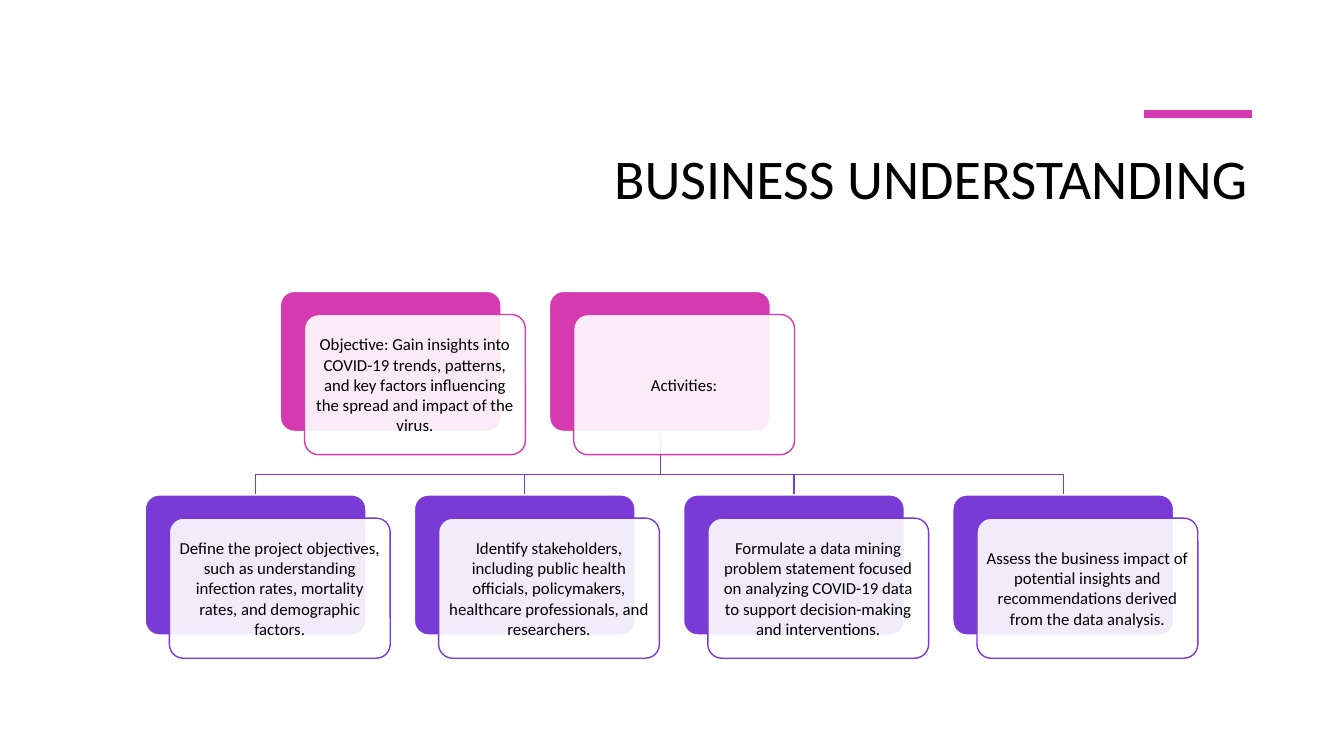
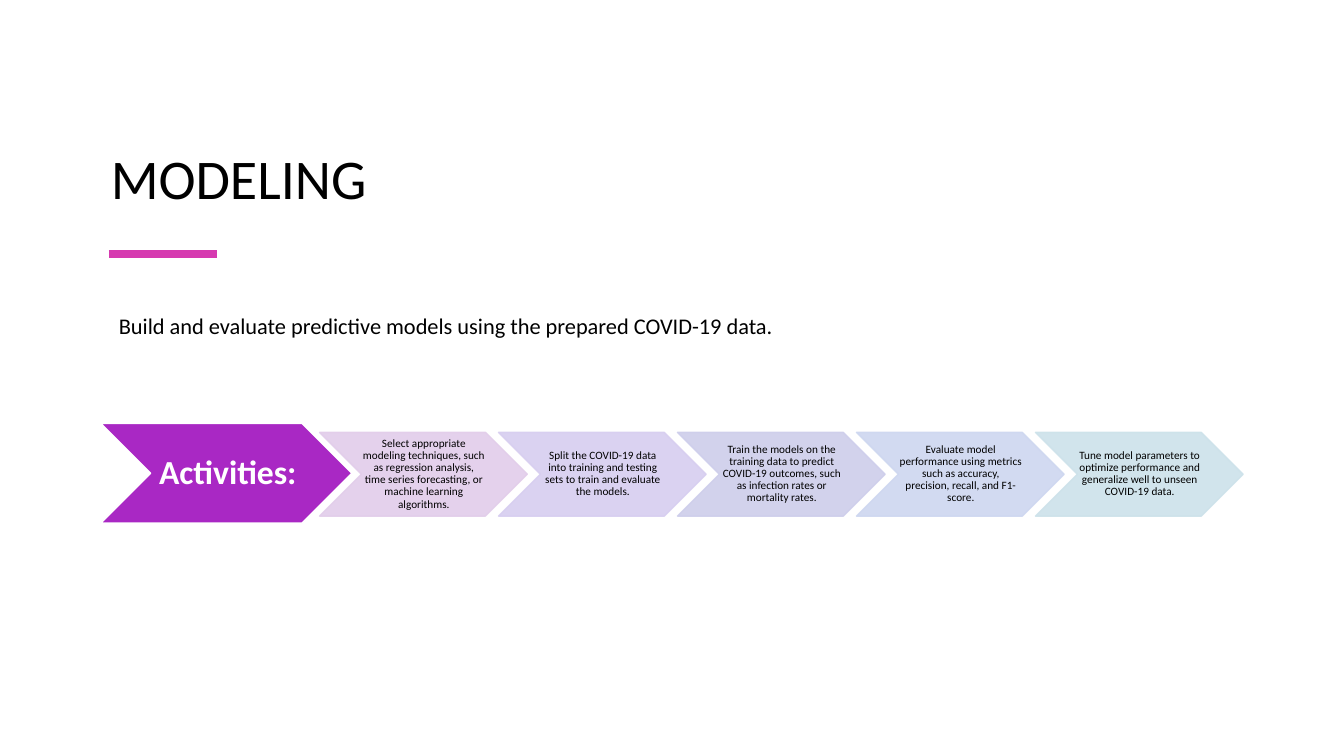
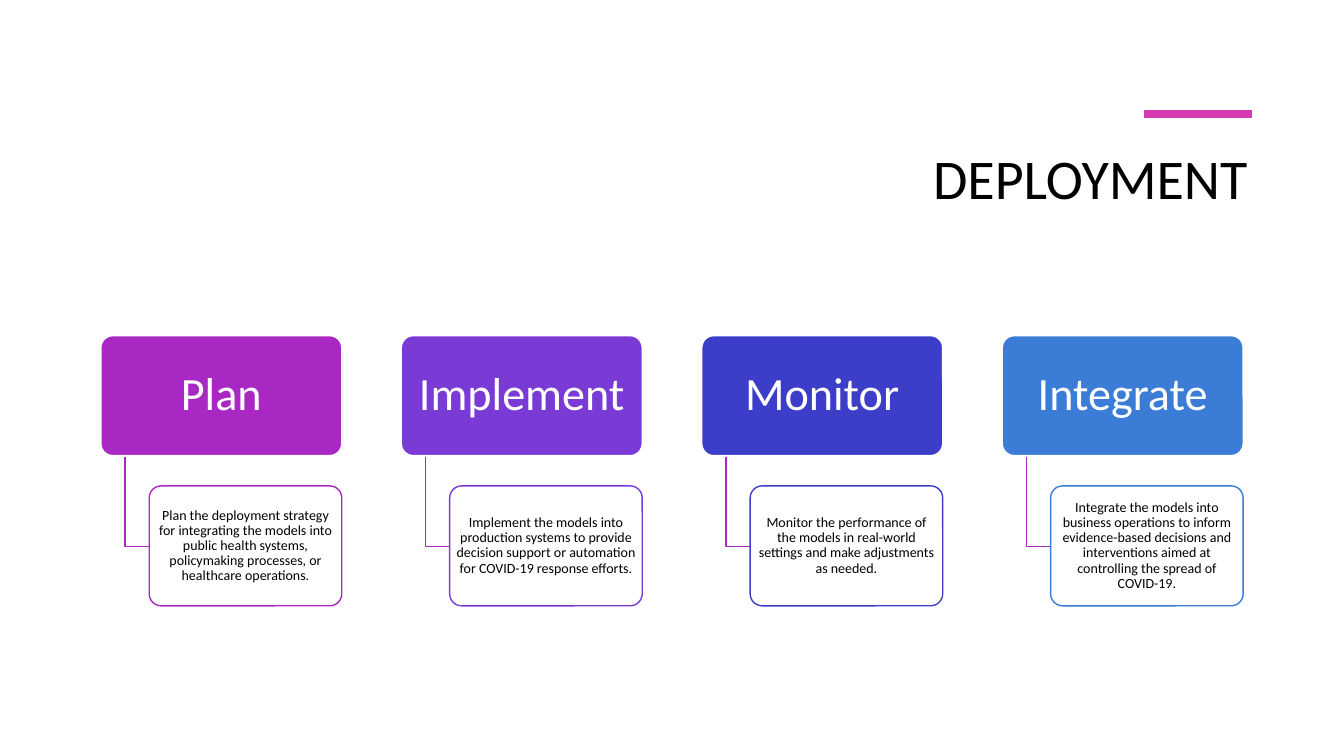
from lxml import etree
from pptx import Presentation
from pptx.dml.color import RGBColor
from pptx.enum.shapes import MSO_CONNECTOR, MSO_SHAPE
from pptx.enum.text import MSO_ANCHOR, PP_ALIGN
from pptx.oxml.ns import qn
from pptx.util import Inches, Pt

ROUNDED, CHEVRON = MSO_SHAPE.ROUNDED_RECTANGLE, MSO_SHAPE.CHEVRON
STRAIGHT = MSO_CONNECTOR.STRAIGHT
TOP, MIDDLE, BOTTOM = MSO_ANCHOR.TOP, MSO_ANCHOR.MIDDLE, MSO_ANCHOR.BOTTOM
LEFT, CENTER, RIGHT = PP_ALIGN.LEFT, PP_ALIGN.CENTER, PP_ALIGN.RIGHT

BLACK = RGBColor(0x00, 0x00, 0x00)
WHITE = RGBColor(0xFF, 0xFF, 0xFF)
PINK = RGBColor(0xD6, 0x3A, 0xB0)
PURPLE = RGBColor(0xA9, 0x28, 0xC4)
VIOLET = RGBColor(0x7A, 0x3A, 0xD6)
INDIGO = RGBColor(0x3C, 0x3D, 0xC9)
BLUE = RGBColor(0x3A, 0x7C, 0xD6)
PALE_PURPLE = RGBColor(0xE2, 0xCD, 0xEA)
PALE_VIOLET = RGBColor(0xD7, 0xCE, 0xF0)
PALE_INDIGO = RGBColor(0xCE, 0xCE, 0xEB)
PALE_BLUE = RGBColor(0xCE, 0xD7, 0xF0)
PALE_TEAL = RGBColor(0xCD, 0xE2, 0xEA)
FONT = "Calibri"


def add_box(page, at, text="", size=12, ink=BLACK, kind=None, fill=None, line=None,
            clear=False, align=CENTER, anchor=MIDDLE, insets=(0.1, 0.05, 0.1, 0.05),
            spacing=1.0, bold=False):
    place = [Inches(value) for value in at]
    if kind is None:
        box = page.shapes.add_textbox(*place)
    else:
        box = page.shapes.add_shape(kind, *place)
        box.shadow.inherit = False
        box.fill.solid()
        box.fill.fore_color.rgb = fill
        box.line.color.rgb = line
        box.line.width = Pt(1)
        if kind == ROUNDED:
            box.adjustments[0] = 0.1
    if clear:
        for colour in box._element.spPr.iter(qn("a:srgbClr")):
            if colour.get("val") == str(fill):
                etree.SubElement(colour, qn("a:alpha"), val="90000")
    if text:
        frame = box.text_frame
        left, top, right, bottom = [Inches(value) for value in insets]
        frame_format = {"word_wrap": True, "vertical_anchor": anchor, "margin_left": left,
                        "margin_top": top, "margin_right": right, "margin_bottom": bottom}
        para = frame.paragraphs[0]
        span = para.add_run()
        span.text = text
        span.font.color.rgb = ink
        for target, values in (
            (frame, frame_format),
            (para, {"alignment": align, "line_spacing": spacing}),
            (span.font, {"name": FONT, "size": Pt(size), "bold": bold}),
        ):
            for name, value in values.items():
                setattr(target, name, value)


def add_elbow(page, points, colour):
    start, *corners = [(Inches(x), Inches(y)) for x, y in points]
    builder = page.shapes.build_freeform(*start)
    builder.add_line_segments(corners, close=False)
    elbow = builder.convert_to_shape()
    elbow.shadow.inherit = False
    elbow.fill.background()
    elbow.line.color.rgb = colour
    elbow.line.width = Pt(1)


deck = Presentation()
deck.slide_width, deck.slide_height = Inches(13.33), Inches(7.5)

RIGHT_TITLE = ((1.9, 1.37, 10.57, 1.25), RIGHT, TOP, 11.35, 1.13)
LEFT_TITLE = ((1, 0.62, 11.38, 1.52), LEFT, BOTTOM, 1.08, 2.52)
pages = []
for title, (at, align, anchor, bar_left, bar_top) in (
    ("BUSINESS UNDERSTANDING", RIGHT_TITLE),
    ("MODELING", LEFT_TITLE),
    ("DEPLOYMENT", RIGHT_TITLE),
):
    page = deck.slides.add_slide(deck.slide_layouts[6])
    add_box(page, at, title, 40, align=align, anchor=anchor)
    bar = page.shapes.add_connector(STRAIGHT, Inches(bar_left), Inches(bar_top),
                                    Inches(bar_left + 1.07), Inches(bar_top))
    bar.line.color.rgb = PINK
    bar.line.width = Pt(6)
    etree.SubElement(bar._element.spPr, qn("a:effectLst"))
    pages.append(page)
understanding, modeling, deployment = pages

CARD_WIDTH, CARD_HEIGHT, CARD_STEP = 2.19, 1.39, 2.67
TRUNK_X, TRUNK_TOP, BRANCH_Y = 6.55, 4.27, 4.71
card_rows = (
    (2.78, 2.89, PINK, (
        "Objective: Gain insights into COVID-19 trends, patterns, and key factors "
        "influencing the spread and impact of the virus.",
        "Activities:",
    )),
    (1.44, 4.91, VIOLET, (
        "Define the project objectives, such as understanding infection rates, "
        "mortality rates, and demographic factors.",
        "Identify stakeholders, including public health officials, policymakers, "
        "healthcare professionals, and researchers.",
        "Formulate a data mining problem statement focused on analyzing COVID-19 data "
        "to support decision-making and interventions.",
        "Assess the business impact of potential insights and recommendations derived "
        "from the data analysis.",
    )),
)
row_left, row_top, row_colour, activities = card_rows[1]
for index in reversed(range(len(activities))):
    branch_x = row_left + index * CARD_STEP + CARD_WIDTH / 2
    add_elbow(understanding, ((TRUNK_X, TRUNK_TOP), (TRUNK_X, BRANCH_Y),
                              (branch_x, BRANCH_Y), (branch_x, row_top)), row_colour)
for row_left, row_top, row_colour, texts in card_rows:
    for index, text in enumerate(texts):
        left = row_left + index * CARD_STEP
        add_box(understanding, (left, row_top, CARD_WIDTH, CARD_HEIGHT),
                kind=ROUNDED, fill=row_colour, line=WHITE)
        add_box(understanding, (left + 0.24, row_top + 0.23, CARD_WIDTH, CARD_HEIGHT), text,
                kind=ROUNDED, fill=WHITE, line=row_colour, clear=True,
                insets=(0.05, 0.05, 0.05, 0.05))

add_box(modeling, (1, 4.2, 2.49, 0.99), "Activities:", 24, WHITE, CHEVRON, PURPLE, WHITE,
        insets=(0.03, 0.02, 0, 0.02), spacing=0.9, bold=True)
steps = (
    (PALE_PURPLE, "Select appropriate modeling techniques, such as regression analysis, "
                  "time series forecasting, or machine learning algorithms."),
    (PALE_VIOLET, "Split the COVID-19 data into training and testing sets to train and "
                  "evaluate the models."),
    (PALE_INDIGO, "Train the models on the training data to predict COVID-19 outcomes, "
                  "such as infection rates or mortality rates."),
    (PALE_BLUE, "Evaluate model performance using metrics such as accuracy, precision, "
                "recall, and F1-score."),
    (PALE_TEAL, "Tune model parameters to optimize performance and generalize well to "
                "unseen COVID-19 data."),
)
FIRST_STEP, LAST_STEP = 3.17, 10.27
for index, (colour, text) in enumerate(steps):
    left = FIRST_STEP + index * (LAST_STEP - FIRST_STEP) / (len(steps) - 1)
    add_box(modeling, (left, 4.29, 2.06, 0.83), text, 8, BLACK, CHEVRON, colour, colour,
            clear=True, insets=(0.01, 0.01, 0, 0.01), spacing=0.9)
add_box(modeling, (1.08, 3.05, 7.2, 0.37),
        "Build and evaluate predictive models using the prepared COVID-19 data.", 16,
        align=LEFT, anchor=TOP)

phases = (
    ("Plan", PURPLE, "Plan the deployment strategy for integrating the models into public "
                     "health systems, policymaking processes, or healthcare operations."),
    ("Implement", VIOLET, "Implement the models into production systems to provide decision "
                          "support or automation for COVID-19 response efforts."),
    ("Monitor", INDIGO, "Monitor the performance of the models in real-world settings and "
                        "make adjustments as needed."),
    ("Integrate", BLUE, "Integrate the models into business operations to inform "
                        "evidence-based decisions and interventions aimed at controlling "
                        "the spread of COVID-19."),
)
for index, (phase, colour, text) in enumerate(phases):
    left = 1 + index * 2.98
    add_box(deployment, (left, 3.33, 2.39, 1.19), phase, 33, WHITE, ROUNDED, colour, WHITE,
            insets=(0.07, 0.05, 0.07, 0.05), spacing=0.9)
    add_elbow(deployment, ((left + 0.24, 4.53), (left + 0.24, 5.42), (left + 0.48, 5.42)),
              PURPLE)
    add_box(deployment, (left + 0.48, 4.82, 1.91, 1.19), text, 10, BLACK, ROUNDED, WHITE,
            colour, clear=True, insets=(0.02, 0.01, 0.02, 0.01), spacing=0.9)

deck.save("out.pptx")
